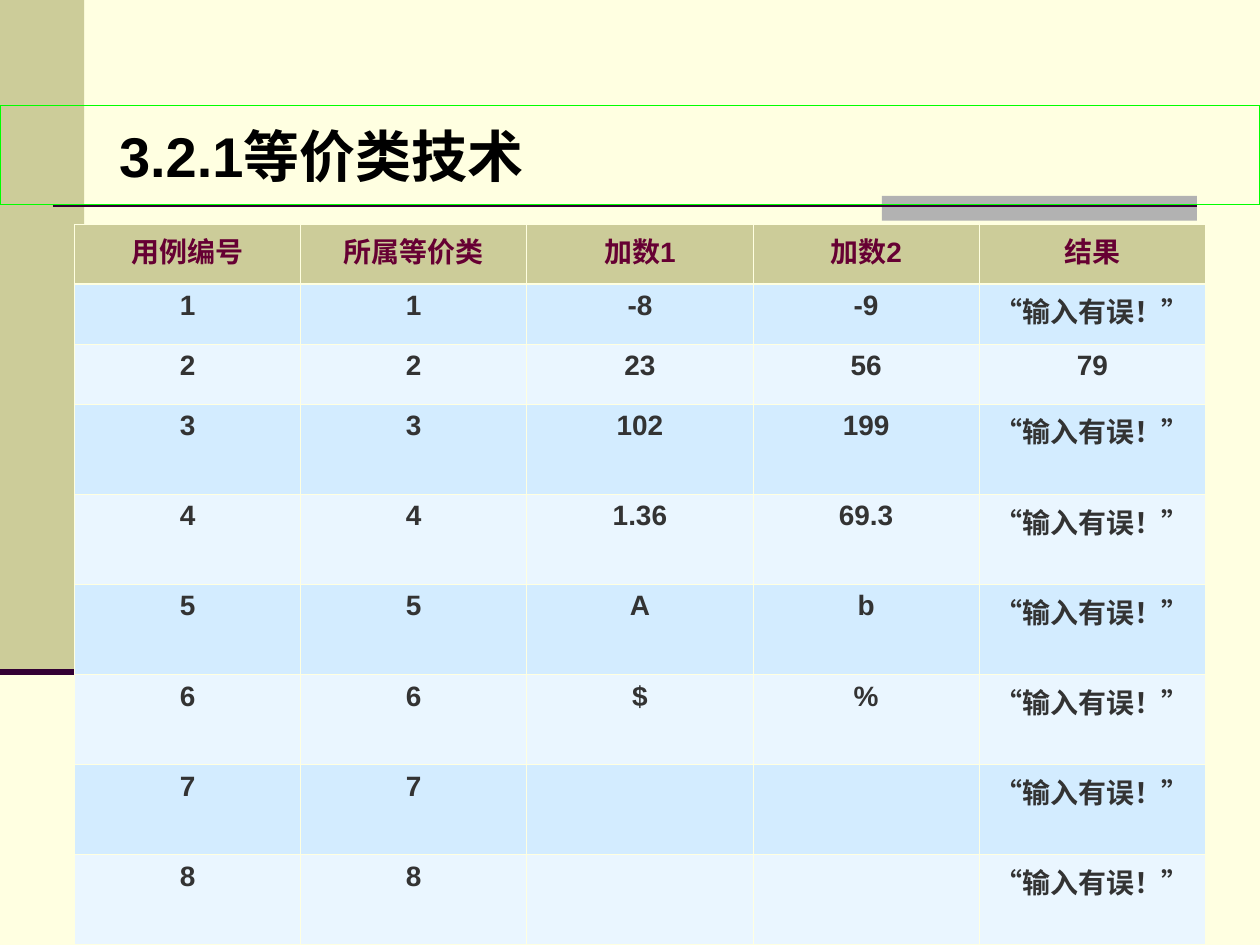
from dataclasses import dataclass

from lxml import etree
from pptx import Presentation
from pptx.dml.color import RGBColor
from pptx.enum.shapes import MSO_CONNECTOR, MSO_SHAPE
from pptx.enum.text import MSO_ANCHOR, PP_ALIGN
from pptx.oxml.ns import qn
from pptx.util import Cm, Pt

RECTANGLE = MSO_SHAPE.RECTANGLE
STRAIGHT = MSO_CONNECTOR.STRAIGHT
MIDDLE = MSO_ANCHOR.MIDDLE
LEFT, CENTER = PP_ALIGN.LEFT, PP_ALIGN.CENTER


@dataclass(frozen=True)
class Theme:
    font: str = "Arial"
    background: str = "FFFFE1"
    panel: str = "CCCC99"
    tab: str = "B2B2B2"
    rule: str = "330033"
    title: str = "000000"
    title_frame: str = "00FF00"
    header_text: str = "660033"
    body_text: str = "333333"
    bands: tuple = ("D3ECFF", "EAF6FF")
    title_size: int = 32
    table_size: int = 16
    thin: float = 0.45
    thick: float = 1.5


THEME = Theme()
ERROR = "“输入有误！”"
HEADERS = ["用例编号", "所属等价类", "加数1", "加数2", "结果"]
# Addend 1, addend 2 and result of each test case
CASES = [
    ("-8", "-9", ERROR),
    ("23", "56", "79"),
    ("102", "199", ERROR),
    ("1.36", "69.3", ERROR),
    ("A", "b", ERROR),
    ("$", "%", ERROR),
    ("", "", ERROR),
    ("", "", ERROR),
]
SHORT_ROWS = 3


def rgb(color):
    return RGBColor.from_string(color)


def add_rectangle(page, left, top, width, height, fill=None):
    box = page.shapes.add_shape(RECTANGLE, Cm(left), Cm(top), Cm(width), Cm(height))
    box.shadow.inherit = False
    box.line.fill.background()
    if fill:
        box.fill.solid()
        box.fill.fore_color.rgb = rgb(fill)
    else:
        box.fill.background()
    return box


def add_rule(page, left, top, width, weight):
    rule = page.shapes.add_connector(
        STRAIGHT, Cm(left), Cm(top), Cm(left + width), Cm(top))
    rule.line.color.rgb = rgb(THEME.rule)
    rule.line.width = Pt(weight)
    properties = rule.line._get_or_add_ln().getparent()
    etree.SubElement(properties, qn("a:effectLst"))


def style_text(para, size, color, alignment):
    para.alignment = alignment
    for span in para.runs:
        span.font.name = THEME.font
        span.font.size = Pt(size)
        span.font.bold = True
        span.font.color.rgb = rgb(color)


def set_border(cell, side, width):
    properties = cell._tc.get_or_add_tcPr()
    line = etree.SubElement(properties, qn(f"a:ln{side}"), w=str(Pt(width)))
    fill = etree.SubElement(line, qn("a:solidFill"))
    etree.SubElement(fill, qn("a:srgbClr"), val=THEME.background)


def add_decoration(page, left, top, width, height):
    # Side panel with its closing rule
    panel_width = 1.7
    add_rectangle(page, left, top, panel_width, height, THEME.panel)
    # Tab and rule under the title
    rule_left, rule_right, rule_top = left + 1.06, left + width - 1.27, top + 4.15
    tab_width, tab_height = 6.35, 0.5
    add_rectangle(page, rule_right - tab_width, rule_top - tab_height / 2 + 0.05,
                  tab_width, tab_height, THEME.tab)
    add_rule(page, rule_left, rule_top, rule_right - rule_left, THEME.thick)
    add_rule(page, left, top + height, panel_width, 3.5)


def add_title(page, text, left, top, width, height):
    box = add_rectangle(page, left, top, width, height)
    box.line.color.rgb = rgb(THEME.title_frame)
    box.line.width = Pt(0.75)
    frame = box.text_frame
    frame.word_wrap = True
    frame.vertical_anchor = MIDDLE
    frame.margin_left = Cm(2.4)
    frame.text = text
    style_text(frame.paragraphs[0], THEME.title_size, THEME.title, LEFT)


def add_case_table(page, left, top, width, height):
    rows = [HEADERS] + [
        (str(number), str(number), *case) for number, case in enumerate(CASES, 1)]
    table = page.shapes.add_table(
        len(rows), len(HEADERS), Cm(left), Cm(top), Cm(width), Cm(height)).table
    for column in table.columns:
        column.width = Cm(width / len(HEADERS))

    short_height = 1.21
    tall_height = (height - SHORT_ROWS * short_height) / (len(rows) - SHORT_ROWS)
    for index, values in enumerate(rows):
        is_header = index == 0
        table.rows[index].height = Cm(
            short_height if index < SHORT_ROWS else tall_height)
        fill = THEME.panel if is_header else THEME.bands[(index - 1) % 2]
        color = THEME.header_text if is_header else THEME.body_text
        # A thicker line parts the header from the cases
        borders = {"L": THEME.thin, "R": THEME.thin,
                   "T": THEME.thick if index == 1 else THEME.thin,
                   "B": THEME.thick if is_header else THEME.thin}
        for cell, value in zip(table.rows[index].cells, values):
            for side, weight in borders.items():
                set_border(cell, side, weight)
            cell.fill.solid()
            cell.fill.fore_color.rgb = rgb(fill)
            cell.text_frame.text = value
            style_text(cell.text_frame.paragraphs[0], THEME.table_size, color, CENTER)


def main():
    deck = Presentation()
    deck.slide_width, deck.slide_height = Cm(25.4), Cm(19.05)
    page = deck.slides.add_slide(deck.slide_layouts[6])
    page.background.fill.solid()
    page.background.fill.fore_color.rgb = rgb(THEME.background)

    add_decoration(page, 0, 0, 25.4, 13.55)
    add_title(page, "3.2.1等价类技术", 0, 2.13, 25.4, 2)
    add_case_table(page, 1.5, 4.52, 22.8, 14.53)
    deck.save("out.pptx")


if __name__ == "__main__":
    main()
